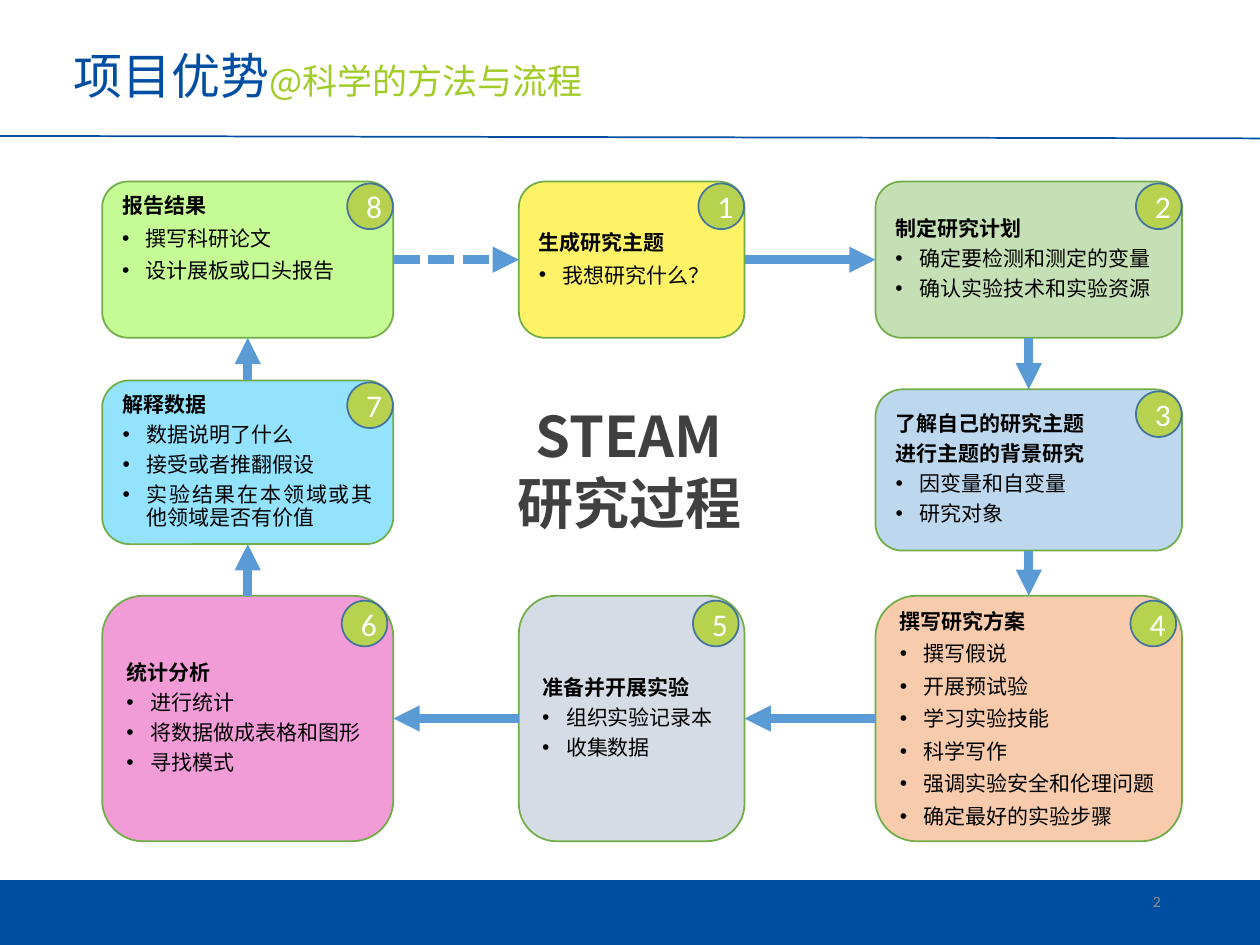
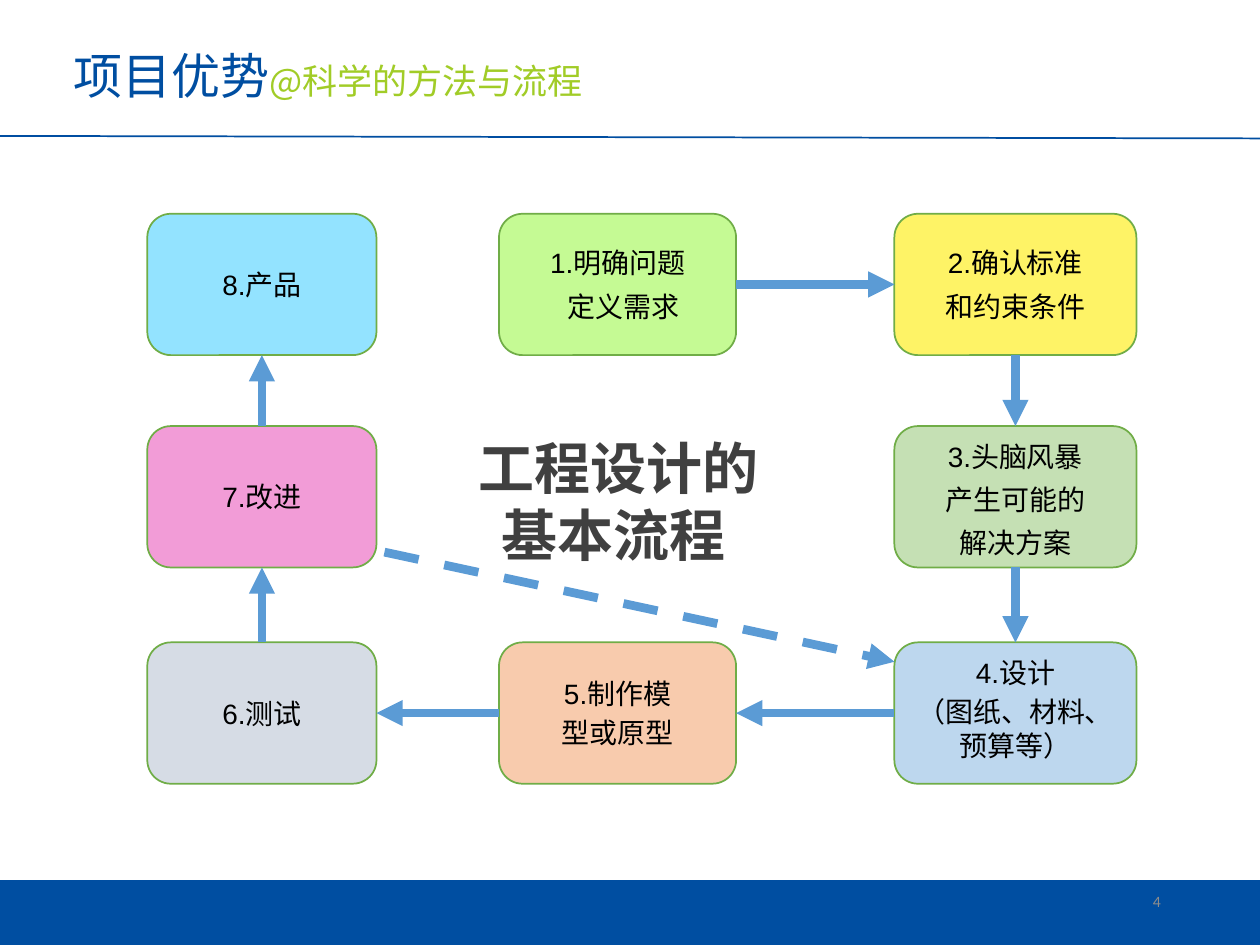
import pptx
import pptx.util
import pptx.dml.color
import pptx.enum.dml
import pptx.enum.shapes
import pptx.enum.text
import pptx.oxml.ns
from lxml import etree

Cm, Pt = pptx.util.Cm, pptx.util.Pt
ALIGN = pptx.enum.text.PP_ALIGN
ANCHOR = pptx.enum.text.MSO_ANCHOR
SHAPE = pptx.enum.shapes.MSO_SHAPE
DASH = pptx.enum.dml.MSO_LINE
qn = pptx.oxml.ns.qn

CJK, LATIN, DIGITS = "Noto Sans CJK SC", "Arial", "Calibri"
NAVY, LIME, GREY, DARK = "004EA1", "A1CC27", "8C8C8C", "404040"
ARROW, OUTLINE = "5B9BD5", "70AD47"
GREEN, YELLOW, SAGE, SKY = "C5FA94", "FEF366", "C5E0B4", "BDD7EE"
PEACH, SILVER, PINK, CYAN = "F8CBAD", "D6DCE5", "F29CD7", "93E3FF"


def color(value):
    return pptx.dml.color.RGBColor.from_string(value)


def write(paragraph, text, size=12, font=CJK, ink="000000", bold=False,
          align=ALIGN.LEFT, leading=1.0, before=0, after=0, indent=0, bullet=False):
    """Add one run; before and after are shares of the text size."""
    run = paragraph.add_run()
    run.text = text
    run.font.size, run.font.bold, run.font.name = Pt(size), bold, font
    run.font.color.rgb = color(ink)
    east_asian = etree.SubElement(run.font._element, qn("a:ea"))
    east_asian.set("typeface", CJK)
    paragraph.alignment, paragraph.line_spacing = align, leading
    paragraph.space_before = Pt(round(before * size, 1))
    paragraph.space_after = Pt(round(after * size, 1))
    properties = paragraph._p.get_or_add_pPr()
    if indent:
        properties.set("marL", str(Cm(indent)))
    if bullet:
        properties.set("indent", str(-Cm(indent)))
        etree.SubElement(properties, qn("a:buFont")).set("typeface", LATIN)
        etree.SubElement(properties, qn("a:buChar")).set("char", "•")


def paragraphs(frame, count):
    """Return the frame's first paragraph and as many new ones as needed."""
    return [frame.paragraphs[0]] + [frame.add_paragraph() for _ in range(count - 1)]


class Deck:
    """Holds the shared style and the slide being built."""

    def __init__(self):
        self.file = pptx.Presentation()
        self.file.slide_width, self.file.slide_height = Cm(25.4), Cm(19.05)

    def new_slide(self, number):
        self.slide = self.file.slides.add_slide(self.file.slide_layouts[5])
        self.line((0, 2.74), (25.4, 2.79), NAVY, 1)
        self.shape(SHAPE.RECTANGLE, (0, 17.75, 25.4, 1.3), NAVY, NAVY)
        self.heading()
        page = self.text_box((17.93, 17.65, 5.72, 1.02), ANCHOR.MIDDLE)
        write(page.paragraphs[0], number, size=9, font=DIGITS, ink=GREY, align=ALIGN.RIGHT)

    def heading(self):
        title = self.slide.shapes.title
        title.left, title.top, title.width, title.height = map(Cm, (1.3, 0.64, 14.88, 1.88))
        frame = title.text_frame
        frame.auto_size = pptx.enum.text.MSO_AUTO_SIZE.NONE
        frame.vertical_anchor = ANCHOR.MIDDLE
        frame.margin_left = frame.margin_right = Cm(0.18)
        frame.margin_top = frame.margin_bottom = Cm(0.1)
        write(frame.paragraphs[0], "项目优势", size=28, ink=NAVY, leading=0.9)
        write(frame.paragraphs[0], "@科学的方法与流程", size=20, ink=LIME, leading=0.9)

    def text_box(self, place, anchor):
        frame = self.slide.shapes.add_textbox(*map(Cm, place)).text_frame
        frame.word_wrap, frame.vertical_anchor = True, anchor
        return frame

    def shape(self, kind, place, fill, outline, anchor=ANCHOR.MIDDLE):
        shape = self.slide.shapes.add_shape(kind, *map(Cm, place))
        shape.shadow.inherit = False
        shape.fill.solid()
        shape.fill.fore_color.rgb = color(fill)
        shape.line.color.rgb, shape.line.width = color(outline), Pt(1)
        shape.text_frame.word_wrap = True
        shape.text_frame.vertical_anchor = anchor
        return shape

    def line(self, start, end, ink=ARROW, width=5):
        line = self.slide.shapes.add_connector(
            pptx.enum.shapes.MSO_CONNECTOR.STRAIGHT, *map(Cm, (*start, *end)))
        line.line.color.rgb, line.line.width = color(ink), Pt(width)
        etree.SubElement(line._element.spPr, qn("a:effectLst"))
        return line

    def arrow(self, start=(0, 0), end=(0, 0), dash=None):
        arrow = self.line(start, end)
        if dash:
            arrow.line.dash_style = dash
        etree.SubElement(arrow.line._get_or_add_ln(), qn("a:tailEnd")).set("type", "triangle")
        return arrow

    def link(self, source, target, dash=None):
        """Join the facing sides of two cards (sites: 0 top, 1 left, 2 bottom, 3 right)."""
        if source.left == target.left:
            sites = (2, 0) if source.top < target.top else (0, 2)
        else:
            sites = (3, 1) if source.left < target.left else (1, 3)
        arrow = self.arrow(dash=dash)
        arrow.begin_connect(source, sites[0])
        arrow.end_connect(target, sites[1])

    def research_card(self, place, fill, heads, points, leading=(0.9, 0.9), anchor=ANCHOR.MIDDLE):
        card = self.shape(SHAPE.ROUNDED_RECTANGLE, place, fill, OUTLINE, anchor)
        lines = paragraphs(card.text_frame, len(heads) + len(points))
        for line, text in zip(lines, heads):
            write(line, text, bold=True, leading=leading[0], after=0.35)
        for line, text in zip(lines[len(heads):], points):
            write(line, text, align=ALIGN.JUSTIFY, leading=leading[1], after=0.35,
                  indent=0.48, bullet=True)
        return card

    def badge(self, place, number):
        left, top, width, height = place
        inset, drop = (0.12, 0.1) if height > 4 else (0.01, 0.04)
        size = 0.92
        circle = self.shape(SHAPE.OVAL, (left + width - size - inset, top + drop, size, size),
                            "B6D24E", "43739E")
        write(circle.text_frame.paragraphs[0], str(number), size=18, font=DIGITS,
              ink="FFFFFF", align=ALIGN.CENTER)

    def design_card(self, place, fill, texts, before=0, after=0, anchor=ANCHOR.MIDDLE, shift=0):
        card = self.shape(SHAPE.ROUNDED_RECTANGLE, place, fill, OUTLINE, anchor)
        for index, line in enumerate(paragraphs(card.text_frame, len(texts))):
            write(line, texts[index], size=16, font=LATIN, align=ALIGN.CENTER,
                  before=before, after=after, indent=shift if index else 0)
        return card


deck = Deck()

# Slide 1: the research process, clockwise from the top middle
deck.new_slide("2")
left, middle, right = (2.06, 5.87), (10.46, 4.55), (17.65, 6.18)
top, bottom = (3.66, 3.15), (12.01, 4.95)
research_steps = [
    (middle, top, YELLOW, ["生成研究主题"], ["我想研究什么？"], {"leading": (0.9, 1.0)}),
    (right, top, SAGE, ["制定研究计划"],
     ["确定要检测和测定的变量", "确认实验技术和实验资源"], {}),
    (right, (7.85, 3.25), SKY, ["了解自己的研究主题", "进行主题的背景研究"],
     ["因变量和自变量", "研究对象"], {}),
    (right, bottom, PEACH, ["撰写研究方案"],
     ["撰写假说", "开展预试验", "学习实验技能", "科学写作", "强调实验安全和伦理问题",
      "确定最好的实验步骤"], {"leading": (1.0, 1.0)}),
    (middle, bottom, SILVER, ["准备并开展实验"], ["组织实验记录本", "收集数据"], {}),
    (left, bottom, PINK, ["统计分析"], ["进行统计", "将数据做成表格和图形", "寻找模式"], {}),
    (left, (7.67, 3.3), CYAN, ["解释数据"],
     ["数据说明了什么", "接受或者推翻假设", "实验结果在本领域或其他领域是否有价值"],
     {"anchor": ANCHOR.TOP}),
    (left, top, GREEN, ["报告结果"], ["撰写科研论文", "设计展板或口头报告"],
     {"leading": (0.9, 1.0), "anchor": ANCHOR.TOP}),
]
cards = []
for number, (column, row, fill, heads, points, style) in enumerate(research_steps, 1):
    place = (column[0], row[0], column[1], row[1])
    cards.append(deck.research_card(place, fill, heads, points, **style))
    deck.badge(place, number)
for source, target in zip(cards, cards[1:]):
    deck.link(source, target)
deck.link(cards[-1], cards[0], DASH.SQUARE_DOT)

process_name = deck.text_box((7.72, 8.23, 9.93, 2.57), ANCHOR.BOTTOM)
process_name.margin_left = process_name.margin_right = process_name.margin_bottom = 0
for line, text in zip(paragraphs(process_name, 2), ["STEAM", "研究过程"]):
    write(line, text, size=32, ink=DARK, bold=True, align=ALIGN.CENTER)

# Slide 2: the engineering design process
deck.new_slide("4")
left, middle, right = (2.97, 4.62), (10.06, 4.78), (18.03, 4.88)
top, centre, bottom = 4.31, 8.59, 12.95
loose, tight = {"after": 0.35}, {"before": 0.2}
design_steps = [
    (middle, top, GREEN, ["1.明确问题", "定义需求"], {**loose, "shift": 0.25}),
    (right, top, YELLOW, ["2.确认标准", "和约束条件"], loose),
    (right, centre, SAGE, ["3.头脑风暴", "产生可能的", "解决方案"], {**loose, "anchor": ANCHOR.TOP}),
    (right, bottom, SKY, ["4.设计", "（图纸、材料、预算等）"], {**tight, "anchor": ANCHOR.TOP}),
    (middle, bottom, PEACH, ["5.制作模", "型或原型"], tight),
    (left, bottom, SILVER, ["6.测试"], tight),
    (left, centre, PINK, ["7.改进"], tight),
    (left, top, CYAN, ["8.产品"], tight),
]
cards = [deck.design_card((column[0], row, column[1], 2.85), fill, texts, **style)
         for column, row, fill, texts, style in design_steps]
for source, target in zip(cards, cards[1:]):
    deck.link(source, target)
deck.arrow((7.75, 11.13), (18.03, 13.34), DASH.DASH)

process_name = deck.text_box((9.4, 8.61, 6.6, 3), ANCHOR.TOP)
for line, text, indent in zip(paragraphs(process_name, 2), ["工程设计的", "基本流程"], [0, 0.46]):
    write(line, text, size=32, ink=DARK, bold=True, indent=indent)

deck.file.save("out.pptx")
